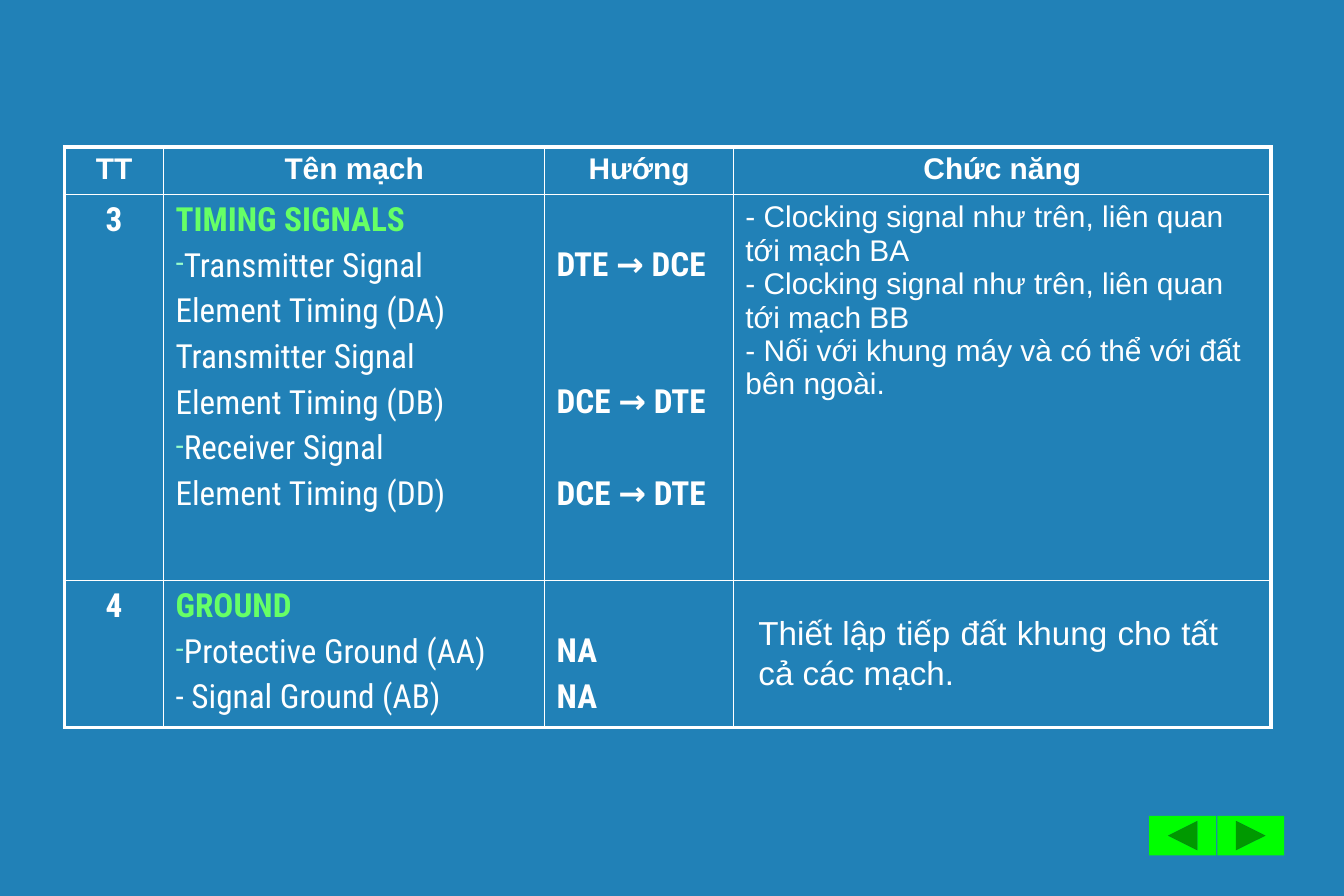
from lxml import etree
from pptx import Presentation
from pptx.dml.color import RGBColor
from pptx.enum.shapes import MSO_SHAPE
from pptx.enum.text import MSO_AUTO_SIZE, PP_ALIGN
from pptx.oxml.ns import qn
from pptx.util import Inches, Pt

LEFT, CENTER, JUSTIFY = PP_ALIGN.LEFT, PP_ALIGN.CENTER, PP_ALIGN.JUSTIFY
BACK = MSO_SHAPE.ACTION_BUTTON_BACK_OR_PREVIOUS
NEXT = MSO_SHAPE.ACTION_BUTTON_FORWARD_OR_NEXT
FIT_SHAPE = MSO_AUTO_SIZE.SHAPE_TO_FIT_TEXT

BLUE, WHITE, GREEN = "2181B7", "FFFFFF", "66FF66"
DASH_COLOR, BUTTON_COLOR = "99FFCC", "00FF00"
SANS, CONDENSED = "Arial", "Roboto Condensed"
THIN, THICK = 1, 2.25
GAP = 4            # points between lines of a circuit list
LINE = 27.5        # points from one list line to the next
LINE_INCHES = 0.38

COLUMNS = [0.83, 3.19, 1.58, 4.5]
ROWS = [0.4, 3.23, 1.23]
HEADERS = ["TT", "Tên mạch", "Hướng", "Chức năng"]
# number, group name, circuits as (text, has dash bullet),
# directions as (text, list lines skipped before it)
GROUPS = [
    ("3", "TIMING SIGNALS",
     [("Transmitter Signal", True), ("Element Timing (DA)", False),
      ("Transmitter Signal", False), ("Element Timing (DB)", False),
      ("Receiver Signal", True), ("Element Timing (DD)", False)],
     [("DTE → DCE", 0), ("DCE → DTE", 2), ("DCE → DTE", 1)]),
    ("4", "GROUND",
     [("Protective Ground (AA)", True), ("- Signal Ground (AB)", False)],
     [("NA", 0), ("NA", 0)]),
]
FUNCTIONS = [
    "- Clocking signal như trên, liên quan tới mạch BA",
    "- Clocking signal như trên, liên quan tới mạch BB",
    "- Nối với khung máy và có thể với đất bên ngoài.",
]


def rgb(value):
    return RGBColor.from_string(value)


def add_dash(p):
    pPr = p._p.get_or_add_pPr()
    pPr.set("marL", "0")
    pPr.set("indent", "0")
    color = etree.SubElement(pPr, qn("a:buClr"))
    etree.SubElement(color, qn("a:srgbClr"), val=DASH_COLOR)
    etree.SubElement(pPr, qn("a:buSzPct"), val="75000")
    etree.SubElement(pPr, qn("a:buChar"), char="-")


def write(tf, text, size=20, font=CONDENSED, color=WHITE, bold=False,
          align=LEFT, before=0, dash=False):
    """Fill the empty first paragraph, or add a new one after the others."""
    p = tf.paragraphs[-1]
    if p.runs:
        p = tf.add_paragraph()
    p.alignment = align
    p.space_before = Pt(before)
    if dash:
        add_dash(p)
    r = p.add_run()
    r.text = text
    r.font.size = Pt(size)
    r.font.name = font
    r.font.bold = bold
    r.font.color.rgb = rgb(color)


def set_borders(cell, **widths):
    tcPr = cell._tc.get_or_add_tcPr()
    for side in "LRTB":
        ln = etree.SubElement(tcPr, qn(f"a:ln{side}"), w=str(Pt(widths[side])))
        fill = etree.SubElement(ln, qn("a:solidFill"))
        etree.SubElement(fill, qn("a:srgbClr"), val=WHITE)


def format_cells(table):
    last_row, last_col = len(ROWS) - 1, len(COLUMNS) - 1
    for i in range(len(ROWS)):
        for j in range(len(COLUMNS)):
            cell = table.cell(i, j)
            set_borders(cell,
                        L=THICK if j == 0 else THIN,
                        R=THICK if j == last_col else THIN,
                        T=THICK if i == 0 else THIN,
                        B=THICK if i == last_row else THIN)
            cell.fill.background()


def fill_group(table, row, number, name, circuits, directions):
    number_cell, name_cell, direction_cell = (table.cell(row, j) for j in range(3))
    write(number_cell.text_frame, number, bold=True, align=CENTER)
    write(name_cell.text_frame, name, color=GREEN, bold=True)
    for text, dash in circuits:
        write(name_cell.text_frame, text, before=GAP, dash=dash)
    direction_cell.margin_top = Inches(0.05 + LINE_INCHES)
    for text, skipped in directions:
        write(direction_cell.text_frame, text, bold=True,
              before=GAP + skipped * LINE)


def add_circuit_table(s):
    table = s.shapes.add_table(
        len(ROWS), len(COLUMNS), Inches(0.54), Inches(1.23),
        Inches(sum(COLUMNS)), Inches(sum(ROWS))).table
    table.first_row = table.horz_banding = False
    for column, width in zip(table.columns, COLUMNS):
        column.width = Inches(width)
    for row, height in zip(table.rows, ROWS):
        row.height = Inches(height)
    format_cells(table)
    for j, header in enumerate(HEADERS):
        write(table.cell(0, j).text_frame, header, size=18, font=SANS,
              bold=True, align=CENTER)
    for row, group in enumerate(GROUPS, start=1):
        fill_group(table, row, *group)
    for text in FUNCTIONS:
        write(table.cell(1, 3).text_frame, text, size=18, font=SANS)


def add_ground_note(s):
    sp = s.shapes.add_textbox(Inches(6.25), Inches(5.08), Inches(4.05), Inches(0.77))
    tf = sp.text_frame
    tf.word_wrap = True
    tf.auto_size = FIT_SHAPE
    write(tf, "Thiết lập tiếp đất khung cho tất cả các mạch.",
          font=SANS, align=JUSTIFY)


def add_button(s, kind, left):
    sp = s.shapes.add_shape(kind, Inches(left), Inches(6.83), Inches(0.56), Inches(0.33))
    sp.shadow.inherit = False
    sp.fill.solid()
    sp.fill.fore_color.rgb = rgb(BUTTON_COLOR)
    sp.line.fill.background()


def main():
    prs = Presentation()
    prs.slide_width, prs.slide_height = Inches(11.25), Inches(7.5)
    s = prs.slides.add_slide(prs.slide_layouts[6])
    s.background.fill.solid()
    s.background.fill.fore_color.rgb = rgb(BLUE)
    add_button(s, NEXT, 10.19)
    add_button(s, BACK, 9.62)
    add_circuit_table(s)
    add_ground_note(s)
    prs.save("out.pptx")


if __name__ == "__main__":
    main()
